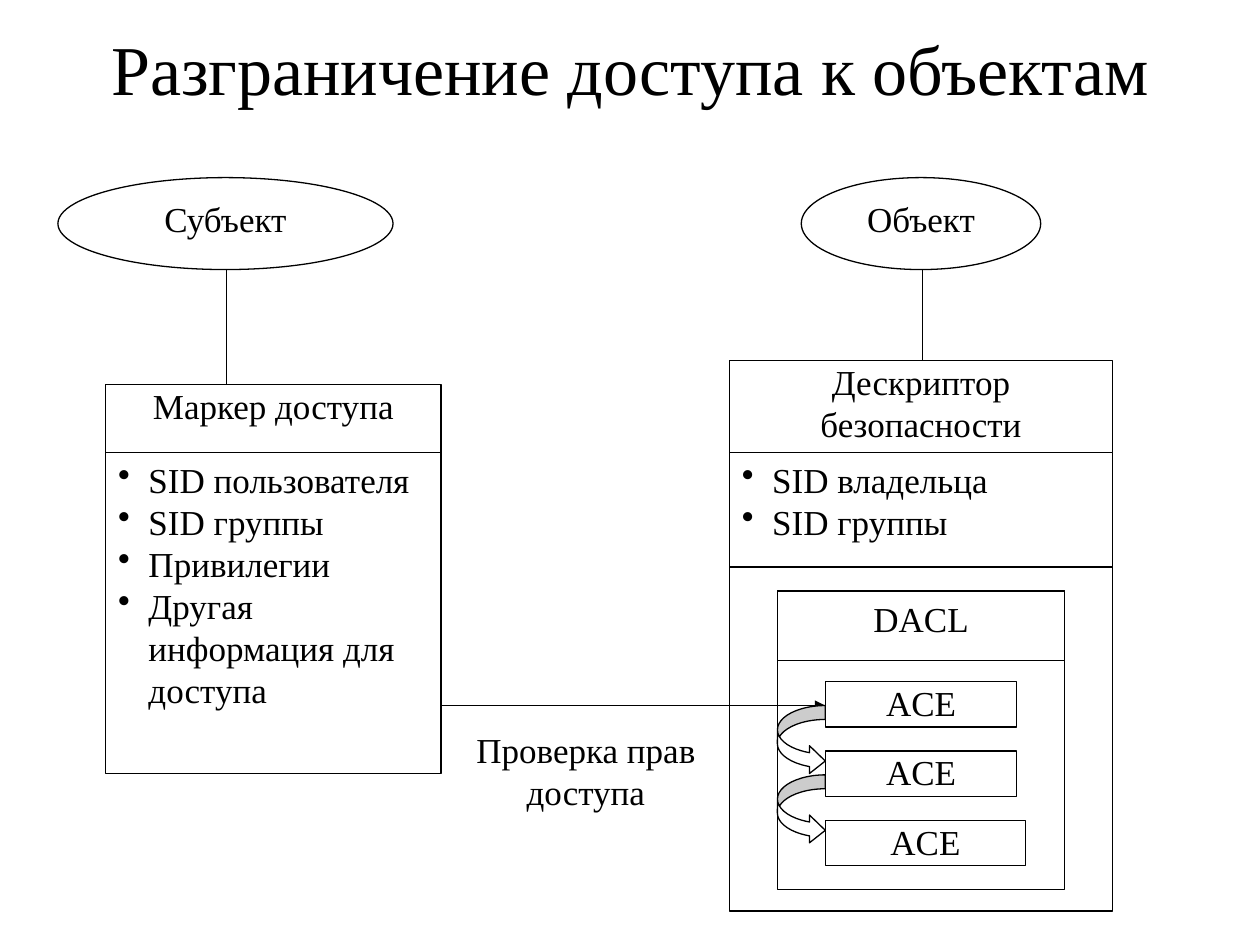
from lxml import etree
from pptx import Presentation
from pptx.dml.color import RGBColor
from pptx.enum.shapes import MSO_CONNECTOR, MSO_SHAPE
from pptx.enum.text import MSO_ANCHOR, PP_ALIGN
from pptx.oxml.ns import qn
from pptx.util import Inches, Pt

RECT, OVAL = MSO_SHAPE.RECTANGLE, MSO_SHAPE.OVAL
CURVED_ARROW = MSO_SHAPE.CURVED_RIGHT_ARROW
STRAIGHT = MSO_CONNECTOR.STRAIGHT
LEFT, CENTER = PP_ALIGN.LEFT, PP_ALIGN.CENTER
TOP, MIDDLE = MSO_ANCHOR.TOP, MSO_ANCHOR.MIDDLE
FONT = "Times New Roman"
BLACK, WHITE = "000000", "FFFFFF"


def rgb(value):
    return RGBColor.from_string(value)


def add_box(kind, x, y, w, h, lines=(), inset=0.05, bullets=False):
    sp = s.shapes.add_shape(kind, Inches(x), Inches(y), Inches(w), Inches(h))
    sp.shadow.inherit = False
    sp.fill.solid()
    sp.fill.fore_color.rgb = rgb(WHITE)
    sp.line.color.rgb = rgb(BLACK)
    sp.line.width = Pt(0.75)
    tf = sp.text_frame
    tf.word_wrap = True
    tf.vertical_anchor = TOP
    tf.margin_left = tf.margin_right = Inches(0.1)
    tf.margin_top = tf.margin_bottom = Inches(inset)
    for i, line in enumerate(lines):
        p = tf.add_paragraph() if i else tf.paragraphs[0]
        p.text = line
        p.alignment = LEFT if bullets else CENTER
        p.font.name, p.font.size = FONT, Pt(20)
        p.font.color.rgb = rgb(BLACK)
        if bullets:
            pPr = p._p.get_or_add_pPr()
            pPr.set("marL", str(Inches(0.24)))
            pPr.set("indent", str(Inches(-0.24)))
            bullet = etree.Element(qn("a:buChar"), char="•")
            pPr.find(qn("a:defRPr")).addprevious(bullet)
    return sp


prs = Presentation()
prs.slide_width, prs.slide_height = Inches(10), Inches(7.5)
s = prs.slides.add_slide(prs.slide_layouts[5])

# Title
title = s.shapes.title
title.left, title.top = Inches(0), Inches(0)
title.width, title.height = Inches(10), Inches(1.07)
tf = title.text_frame
tf.text = "Разграничение доступа к объектам"
tf.vertical_anchor = MIDDLE
p = tf.paragraphs[0]
p.alignment = CENTER
p.font.name, p.font.size = FONT, Pt(40)
p.font.color.rgb = rgb(BLACK)

# Subject and its access token
add_box(OVAL, 0.46, 1.41, 2.66, 0.73, ["Субъект"])
add_box(RECT, 0.84, 3.05, 2.66, 0.73, ["Маркер доступа"], inset=0)
add_box(RECT, 0.84, 3.59, 2.66, 2.55,
        ["SID пользователя", "SID группы", "Привилегии",
         "Другая информация для доступа"], bullets=True)

# Object and its security descriptor
add_box(OVAL, 6.36, 1.41, 1.9, 0.73, ["Объект"])
add_box(RECT, 5.79, 2.86, 3.04, 0.73, ["Дескриптор безопасности"], inset=0)
add_box(RECT, 5.79, 3.59, 3.04, 0.91, ["SID владельца", "SID группы"],
        bullets=True)
add_box(RECT, 5.79, 4.5, 3.04, 2.73)

# DACL with its entries
add_box(RECT, 6.17, 4.69, 2.28, 2.37)
add_box(RECT, 6.17, 4.69, 2.28, 0.55, ["DACL"])
for i, width in enumerate((1.52, 1.52, 1.59)):
    add_box(RECT, 6.55, 5.41 + 0.55 * i, width, 0.36, ["ACE"], inset=0)

# Connecting lines and the access check arrow
for x1, y1, x2, y2, arrow in ((1.8, 2.14, 1.8, 3.05, False),
                              (7.32, 2.14, 7.32, 2.86, False),
                              (3.51, 5.6, 6.55, 5.6, True)):
    line = s.shapes.add_connector(STRAIGHT, Inches(x1), Inches(y1),
                                  Inches(x2), Inches(y2))
    line.line.color.rgb = rgb(BLACK)
    line.line.width = Pt(0.75)
    if arrow:
        etree.SubElement(line.line._get_or_add_ln(), qn("a:tailEnd"),
                         type="triangle")
    etree.SubElement(line._element.spPr, qn("a:effectLst"))

# Curved arrows from one entry to the next
for i in range(2):
    sp = add_box(CURVED_ARROW, 6.17, 5.6 + 0.55 * i, 0.38, 0.55)
    for n, value in enumerate((0.29, 0.58, 0.33)):
        sp.adjustments[n] = value

# Caption of the access check
sp = add_box(RECT, 3.7, 5.78, 1.9, 0.67, ["Проверка прав доступа"], inset=0)
sp.line.fill.background()
sp.text_frame.margin_left = sp.text_frame.margin_right = 0

prs.save("out.pptx")
